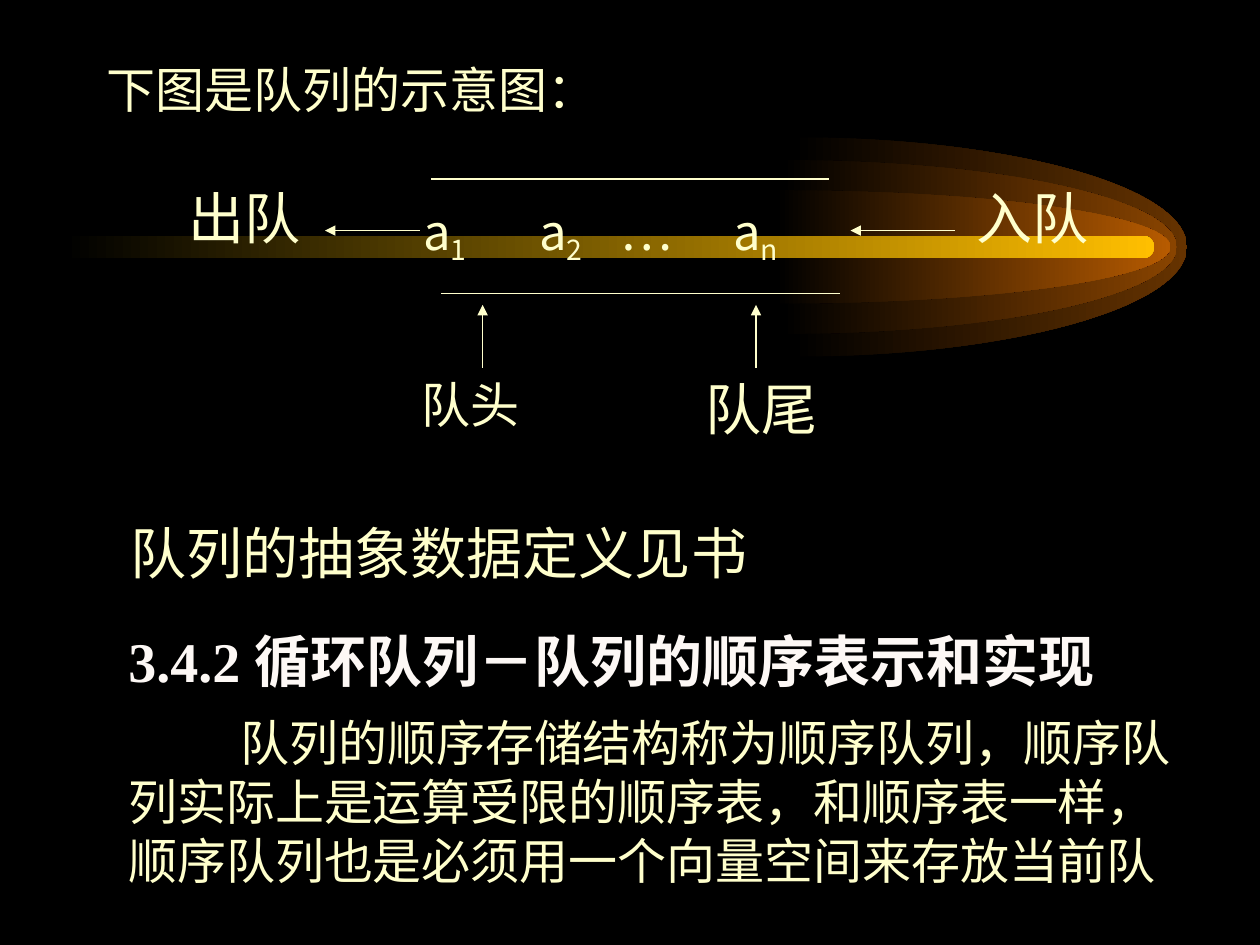
"""Build the slide that shows how a queue works and introduces circular queues."""
from lxml.etree import SubElement
from pptx import Presentation
from pptx.dml.color import RGBColor
from pptx.enum.shapes import MSO_CONNECTOR, MSO_SHAPE
from pptx.oxml.ns import qn
from pptx.util import Inches, Pt

BLACK = RGBColor(0x00, 0x00, 0x00)
CREAM = RGBColor(0xFF, 0xFF, 0xCC)
WHITE = RGBColor(0xFD, 0xF8, 0xF5)
GOLD = RGBColor(0xFF, 0xBF, 0x00)
SERIF, SANS = "Times New Roman", "Noto Sans CJK SC"

AXIS, GLOW_LENGTH, ARC_PULL = 1.96, 3.13, 0.55
GLOWS = [
    (6.29, 0.87, RGBColor(0x66, 0x33, 0x00)),
    (6.21, 0.69, RGBColor(0x89, 0x44, 0x00)),
    (6.16, 0.45, RGBColor(0xB7, 0x5B, 0x00)),
]
BEAM = (0.5, 1.87, 8.66, 0.18)

QUEUE_WALLS = [(3.42, 1.42, 6.58, 1.42), (3.5, 2.33, 6.67, 2.33)]
ARROWS = [
    (3.33, 1.83, 2.58, 1.83),
    (7.58, 1.83, 6.75, 1.83),
    (3.83, 2.92, 3.83, 2.42),
    (6, 2.92, 6, 2.42),
]
LABELS = [
    ("下图是队列的示意图：", 28, SANS, (0.75, 0.42, 8.5, 0.57)),
    ("出队", 32, SERIF, (1.4, 1.41, 1.1, 0.64)),
    ("入队", 32, SERIF, (7.65, 1.41, 1.27, 0.64)),
    ("队头", 28, SERIF, (3.25, 2.92, 1.17, 0.57)),
    ("队尾", 32, SERIF, (5.5, 2.92, 1.5, 0.64)),
    ("队列的抽象数据定义见书", 32, SERIF, (0.94, 4.07, 9.06, 0.64)),
]
ELEMENTS = [("a", "1"), ("\ta", "2"), ("\t…", ""), ("\ta", "n")]
ELEMENT_TABS = [0.92, 1.57, 2.46]
ELEMENTS_BOX = (3.26, 1.55, 3.2, 0.57)
HEADING = "3.4.2 循环队列－队列的顺序表示和实现"
BODY = (
    "队列的顺序存储结构称为顺序队列，顺序队列实际上是运算受限的顺序表，"
    "和顺序表一样，顺序队列也是必须用一个向量空间来存放当前队"
)
SECTION_BOX = (0.92, 4.92, 8.55, 2.2)


def fade(shape, color):
    shape.shadow.inherit = False
    shape.line.fill.background()
    shape.fill.gradient()
    shape.fill.gradient_angle = 0
    for stop, stop_color in zip(shape.fill.gradient_stops, (BLACK, color)):
        stop.color.rgb = stop_color


def add_glow(slide, left, radius, color):
    upper = [(0, -1), (ARC_PULL, -1), (1, -ARC_PULL), (1, 0)]
    lower = [(x, -y) for x, y in reversed(upper[:-1])]
    arc = [
        (Inches(left + GLOW_LENGTH * x), Inches(AXIS + radius * y))
        for x, y in upper + lower
    ]
    builder = slide.shapes.build_freeform(*arc[0])
    builder.add_line_segments(arc[1:], close=True)
    glow = builder.convert_to_shape()
    segments = list(glow._element.iter(qn("a:lnTo")))
    for first in (0, 3):
        curve = segments[first].makeelement(qn("a:cubicBezTo"))
        segments[first].addprevious(curve)
        for segment in segments[first:first + 3]:
            curve.append(segment[0])
            segment.getparent().remove(segment)
    fade(glow, color)


def add_line(slide, ends, arrow=False):
    line = slide.shapes.add_connector(MSO_CONNECTOR.STRAIGHT, *map(Inches, ends))
    line.line.color.rgb = CREAM
    line.line.width = Pt(0.75)
    if arrow:
        SubElement(line.line._get_or_add_ln(), qn("a:tailEnd"), type="triangle")
    SubElement(line._element.spPr, qn("a:effectLst"))


def add_frame(slide, box):
    frame = slide.shapes.add_textbox(*map(Inches, box)).text_frame
    frame.word_wrap = True
    return frame


def style(paragraph, size, font=SERIF, color=CREAM, bold=False):
    paragraph.font.size = Pt(size)
    paragraph.font.name = font
    paragraph.font.color.rgb = color
    paragraph.font.bold = bold


def add_elements(slide):
    row = add_frame(slide, ELEMENTS_BOX).paragraphs[0]
    tabs = SubElement(row._p.get_or_add_pPr(), qn("a:tabLst"))
    for position in ELEMENT_TABS:
        SubElement(tabs, qn("a:tab"), pos=str(Inches(position)), algn="l")
    style(row, 28, SANS)
    for symbol, index in ELEMENTS:
        row.add_run().text = symbol
        if index:
            index_run = row.add_run()
            index_run.text = index
            index_run.font._element.set("baseline", "-20000")


def add_section(slide):
    frame = add_frame(slide, SECTION_BOX)
    heading, body = frame.paragraphs[0], frame.add_paragraph()
    heading.text = HEADING
    style(heading, 32, color=WHITE, bold=True)
    body.text = BODY
    body._p.get_or_add_pPr().set("indent", str(Inches(0.89)))
    body.space_before = Pt(11)
    style(body, 28)


def main():
    deck = Presentation()
    deck.slide_width, deck.slide_height = Inches(10), Inches(7.5)
    slide = deck.slides.add_slide(deck.slide_layouts[6])
    slide.background.fill.solid()
    slide.background.fill.fore_color.rgb = BLACK

    for left, radius, color in GLOWS:
        add_glow(slide, left, radius, color)
    beam = slide.shapes.add_shape(MSO_SHAPE.ROUNDED_RECTANGLE, *map(Inches, BEAM))
    beam.adjustments[0] = 0.5
    fade(beam, GOLD)

    for ends in QUEUE_WALLS:
        add_line(slide, ends)
    for ends in ARROWS:
        add_line(slide, ends, arrow=True)
    for text, size, font, box in LABELS:
        label = add_frame(slide, box).paragraphs[0]
        label.text = text
        style(label, size, font)
    add_elements(slide)
    add_section(slide)
    deck.save("out.pptx")


if __name__ == "__main__":
    main()
